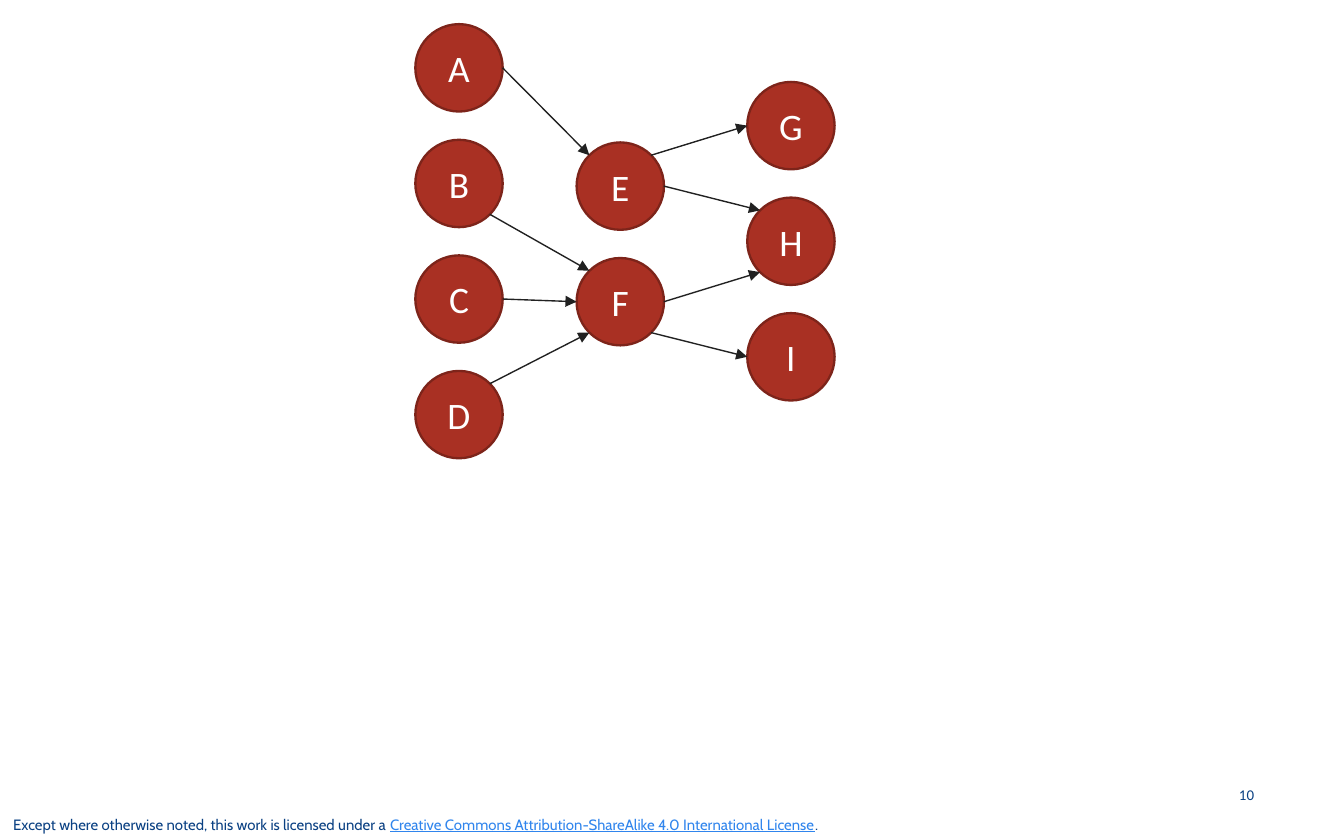
import math

import pptx
import pptx.dml.color
import pptx.enum.shapes
import pptx.enum.text
import pptx.oxml
import pptx.oxml.ns
import pptx.util

Inches = pptx.util.Inches
Pt = pptx.util.Pt
ALIGN = pptx.enum.text.PP_ALIGN
ANCHOR = pptx.enum.text.MSO_ANCHOR

COLORS = {
    "node": "A93023",
    "node_line": "7D241A",
    "node_text": "FFFFFF",
    "arrow": "212121",
    "footer": "0B4183",
    "link": "3085ED",
}
DIAMETER = 0.65
PITCH = 0.86
COLUMNS = [("GHI", 5.56, 0.61), ("EF", 4.29, 1.06), ("ABCD", 3.09, 0.18)]
ANGLES = {"right": 0, "lower right": 45, "lower left": 135,
          "left": 180, "upper left": 225, "upper right": 315}
EDGES = [
    ("E", "upper right", "G", "left"),
    ("E", "right", "H", "upper left"),
    ("F", "lower right", "I", "left"),
    ("F", "right", "H", "lower left"),
    ("C", "right", "F", "left"),
    ("D", "upper right", "F", "lower left"),
    ("A", "right", "E", "upper left"),
    ("B", "lower right", "F", "upper left"),
]


def rgb(name):
    return pptx.dml.color.RGBColor.from_string(COLORS[name])


class GraphSlide:
    def __init__(self, s):
        self.s = s
        self.nodes = {}

    def text(self, x, y, w, h, runs, font, align, anchor):
        tf = self.s.shapes.add_textbox(Inches(x), Inches(y), Inches(w), Inches(h)).text_frame
        tf.word_wrap = True
        tf.vertical_anchor = anchor
        p = tf.paragraphs[0]
        p.alignment = align
        p.font.name = font
        p.font.size = Pt(8)
        for words, color, underline in runs:
            r = p.add_run()
            r.text = words
            r.font.color.rgb = rgb(color)
            r.font.underline = underline

    def node(self, label, x, y):
        sp = self.s.shapes.add_shape(
            pptx.enum.shapes.MSO_SHAPE.OVAL,
            Inches(x), Inches(y), Inches(DIAMETER), Inches(DIAMETER))
        sp.shadow.inherit = False
        sp.fill.solid()
        sp.fill.fore_color.rgb = rgb("node")
        sp.line.color.rgb = rgb("node_line")
        sp.line.width = Pt(1.25)
        tf = sp.text_frame
        tf.vertical_anchor = ANCHOR.MIDDLE
        p = tf.paragraphs[0]
        p.text = label
        p.alignment = ALIGN.CENTER
        p.font.name = "Calibri"
        p.font.size = Pt(20)
        p.font.color.rgb = rgb("node_text")
        self.nodes[label] = (x, y)

    def site(self, label, side):
        x, y = self.nodes[label]
        radius = DIAMETER / 2
        angle = math.radians(ANGLES[side])
        return (Inches(x + radius + radius * math.cos(angle)),
                Inches(y + radius + radius * math.sin(angle)))

    def arrow(self, start, start_side, end, end_side):
        line = self.s.shapes.add_connector(
            pptx.enum.shapes.MSO_CONNECTOR.STRAIGHT,
            *self.site(start, start_side), *self.site(end, end_side))
        line.line.color.rgb = rgb("arrow")
        line.line.width = Pt(0.75)
        ns = pptx.oxml.ns.nsdecls("a")
        line.line._get_or_add_ln().append(
            pptx.oxml.parse_xml(f'<a:tailEnd {ns} type="triangle"/>'))
        line._element.spPr.append(pptx.oxml.parse_xml(f"<a:effectLst {ns}/>"))


def main():
    prs = pptx.Presentation()
    prs.slide_width = Inches(10)
    prs.slide_height = Inches(6.25)
    graph = GraphSlide(prs.slides.add_slide(prs.slide_layouts[6]))

    graph.text(0, 6.02, 7.5, 0.23, [
        ("Except where otherwise noted, this work is licensed under a ", "footer", False),
        ("Creative Commons Attribution-ShareAlike 4.0 International License", "link", True),
        (".", "footer", False),
    ], "Cabin", ALIGN.LEFT, ANCHOR.BOTTOM)
    graph.text(8.98, 5.75, 0.45, 0.33, [("10", "footer", False)],
               "Calibri", ALIGN.RIGHT, ANCHOR.MIDDLE)

    for labels, x, top in COLUMNS:
        for i, label in enumerate(labels):
            graph.node(label, x, top + i * PITCH)
    for edge in EDGES:
        graph.arrow(*edge)

    prs.save("out.pptx")


if __name__ == "__main__":
    main()
